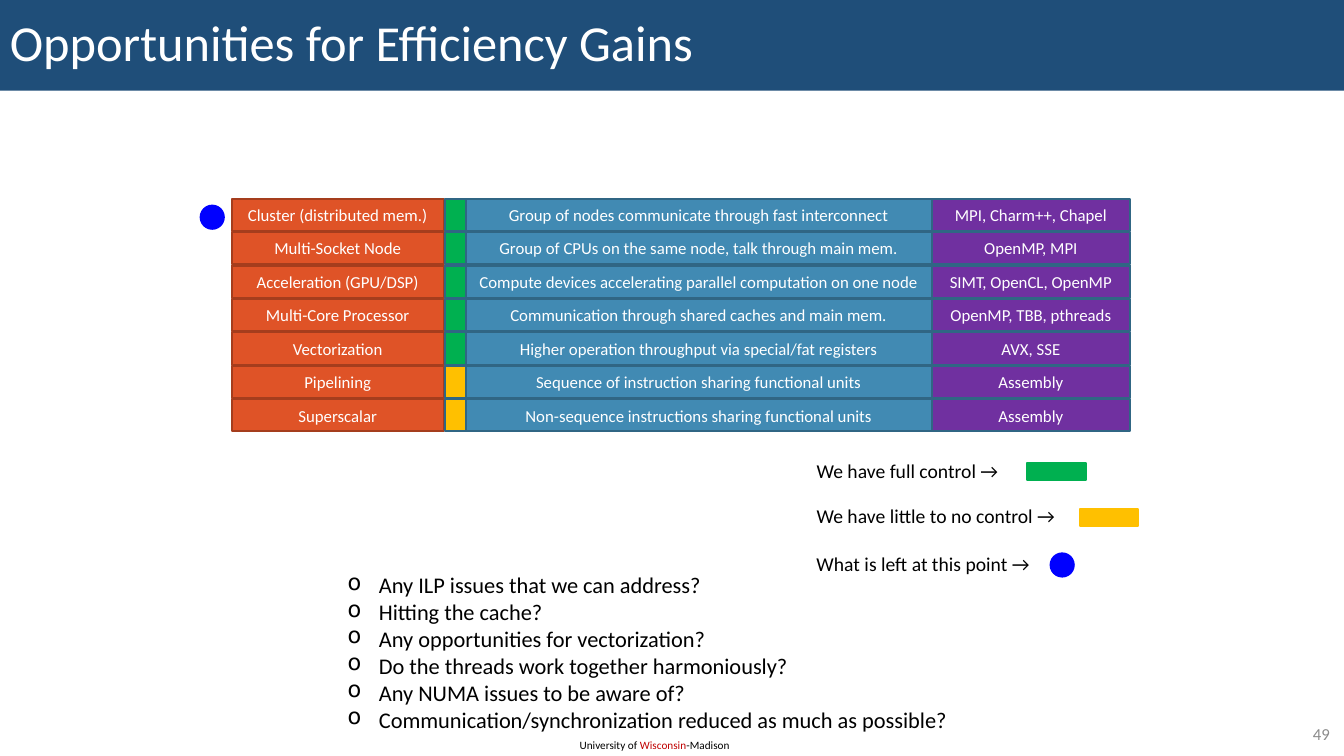
from lxml.etree import SubElement
from pptx import Presentation
from pptx.dml.color import RGBColor
from pptx.enum.shapes import MSO_SHAPE as SHAPE
from pptx.enum.text import MSO_ANCHOR as ANCHOR, PP_ALIGN as ALIGN
from pptx.oxml.ns import qn
from pptx.util import Inches, Pt

WHITE = RGBColor(0xFF, 0xFF, 0xFF)
BLACK = RGBColor(0x00, 0x00, 0x00)
GREY = RGBColor(0x8C, 0x8C, 0x8C)
NAVY = RGBColor(0x1F, 0x4E, 0x79)
RED = RGBColor(0xC0, 0x00, 0x00)
ORANGE = RGBColor(0xDF, 0x53, 0x27)
RUST = RGBColor(0xA5, 0x3D, 0x1D)
STEEL = RGBColor(0x41, 0x8A, 0xB3)
TEAL = RGBColor(0x30, 0x66, 0x84)
PURPLE = RGBColor(0x70, 0x30, 0xA0)
GREEN = RGBColor(0x00, 0xB0, 0x50)
AMBER = RGBColor(0xFF, 0xC0, 0x00)
BLUE = RGBColor(0x00, 0x00, 0xFF)

prs = Presentation()
W, H = 13.33, 7.5
prs.slide_width, prs.slide_height = Inches(W), Inches(H)
s = prs.slides.add_slide(prs.slide_layouts[6])


def add_text(text, x, y, w, h, size=14, color=BLACK, align=ALIGN.LEFT,
             anchor=ANCHOR.TOP, wrap=True, bullet=None, sp=None):
    """Write text (lines, or lists of (text, colour) runs) in sp or a new box."""
    if sp is None:
        sp = s.shapes.add_textbox(Inches(x), Inches(y), Inches(w), Inches(h))
    tf = sp.text_frame
    tf.word_wrap, tf.vertical_anchor = wrap, anchor
    for i, line in enumerate(text if isinstance(text, list) else [text]):
        p = tf.add_paragraph() if i else tf.paragraphs[0]
        p.alignment = align
        if bullet:
            pPr = p._p.get_or_add_pPr()
            pPr.set("marL", str(Inches(0.31)))
            pPr.set("indent", str(-Inches(0.31)))
            SubElement(pPr, qn("a:buChar")).set("char", bullet)
        for words, tint in line if isinstance(line, list) else [(line, color)]:
            r = p.add_run()
            r.text = words
            r.font.name, r.font.size = "Calibri", Pt(size)
            r.font.color.rgb = tint
    return tf


def add_block(kind, x, y, w, h, fill, line=None):
    sp = s.shapes.add_shape(kind, Inches(x), Inches(y), Inches(w), Inches(h))
    sp.shadow.inherit = False
    sp.fill.solid()
    sp.fill.fore_color.rgb = fill
    if line is None:
        sp.line.fill.background()
    else:
        sp.line.color.rgb, sp.line.width = line, Pt(1.5)
    return sp


# Footer and slide number
add_text([[("University of ", BLACK), ("Wisconsin", RED), ("-Madison", BLACK)]],
         5.65, 7.28, 1.72, 0.24, size=8)
add_text("49", 12.53, 7.13, 0.76, 0.29, size=12, color=GREY,
         align=ALIGN.RIGHT, anchor=ANCHOR.MIDDLE)

# Title bar
bar = add_block(SHAPE.RECTANGLE, 0, 0, W, H * 0.12, NAVY)
tf = add_text("Opportunities for Efficiency Gains", 0, 0, W, H * 0.12, size=36,
              color=WHITE, anchor=ANCHOR.MIDDLE, sp=bar)
tf.paragraphs[0].line_spacing = 0.9

# Levels of parallelism: name, control, description, tools
levels = [
    ("Cluster (distributed mem.)", GREEN,
     "Group of nodes communicate through fast interconnect", "MPI, Charm++, Chapel"),
    ("Multi-Socket Node", GREEN,
     "Group of CPUs on the same node, talk through main mem.", "OpenMP, MPI"),
    ("Acceleration (GPU/DSP)", GREEN,
     "Compute devices accelerating parallel computation on one node",
     "SIMT, OpenCL, OpenMP"),
    ("Multi-Core Processor", GREEN,
     "Communication through shared caches and main mem.", "OpenMP, TBB, pthreads"),
    ("Vectorization", GREEN,
     "Higher operation throughput via special/fat registers", "AVX, SSE"),
    ("Pipelining", AMBER,
     "Sequence of instruction sharing functional units", "Assembly"),
    ("Superscalar", AMBER,
     "Non-sequence instructions sharing functional units", "Assembly"),
]
TOP, BOTTOM, ROW_H = 1.97, 3.96, 0.32
pitch = (BOTTOM - TOP) / (len(levels) - 1)
for row, (name, control, description, tools) in reversed(list(enumerate(levels))):
    y = TOP + row * pitch
    cells = [(name, 2.3, 2.1, ORANGE, RUST), (description, 4.62, 4.62, STEEL, TEAL),
             ("", 4.41, 0.21, control, TEAL), (tools, 9.24, 1.97, PURPLE, TEAL)]
    for label, x, w, fill, line in cells:
        sp = add_block(SHAPE.FLOWCHART_PROCESS, x, y, w, ROW_H, fill, line)
        if label:
            tf = add_text(label, x, y, w, ROW_H, size=12, color=WHITE,
                          align=ALIGN.CENTER, anchor=ANCHOR.MIDDLE, sp=sp)
            tf.margin_left = tf.margin_right = tf.margin_top = tf.margin_bottom = 0

# Legend
for label, y, w in [("We have full control →", 4.5, 2.08),
                    ("We have little to no control →", 4.95, 2.62),
                    ("What is left at this point →", 5.43, 2.36)]:
    add_text(label, 8, y, w, 0.34, wrap=False)
for x, y, color in [(10.19, 4.59, GREEN), (10.71, 5.05, AMBER)]:
    add_block(SHAPE.RECTANGLE, x, y, 0.58, 0.17, color, color)

# Dots: the level still open, and its legend key
for x, y in [(1.98, 2.03), (10.41, 5.48)]:
    add_block(SHAPE.OVAL, x, y, 0.25, 0.25, BLUE)

# Questions to ask
add_text(["Any ILP issues that we can address?",
          "Hitting the cache?",
          "Any opportunities for vectorization?",
          "Do the threads work together harmoniously?",
          "Any NUMA issues to be aware of?",
          "Communication/synchronization reduced as much as possible?"],
         3.35, 5.62, 6.22, 1.72, size=16, wrap=False, bullet="o")

prs.save("out.pptx")
